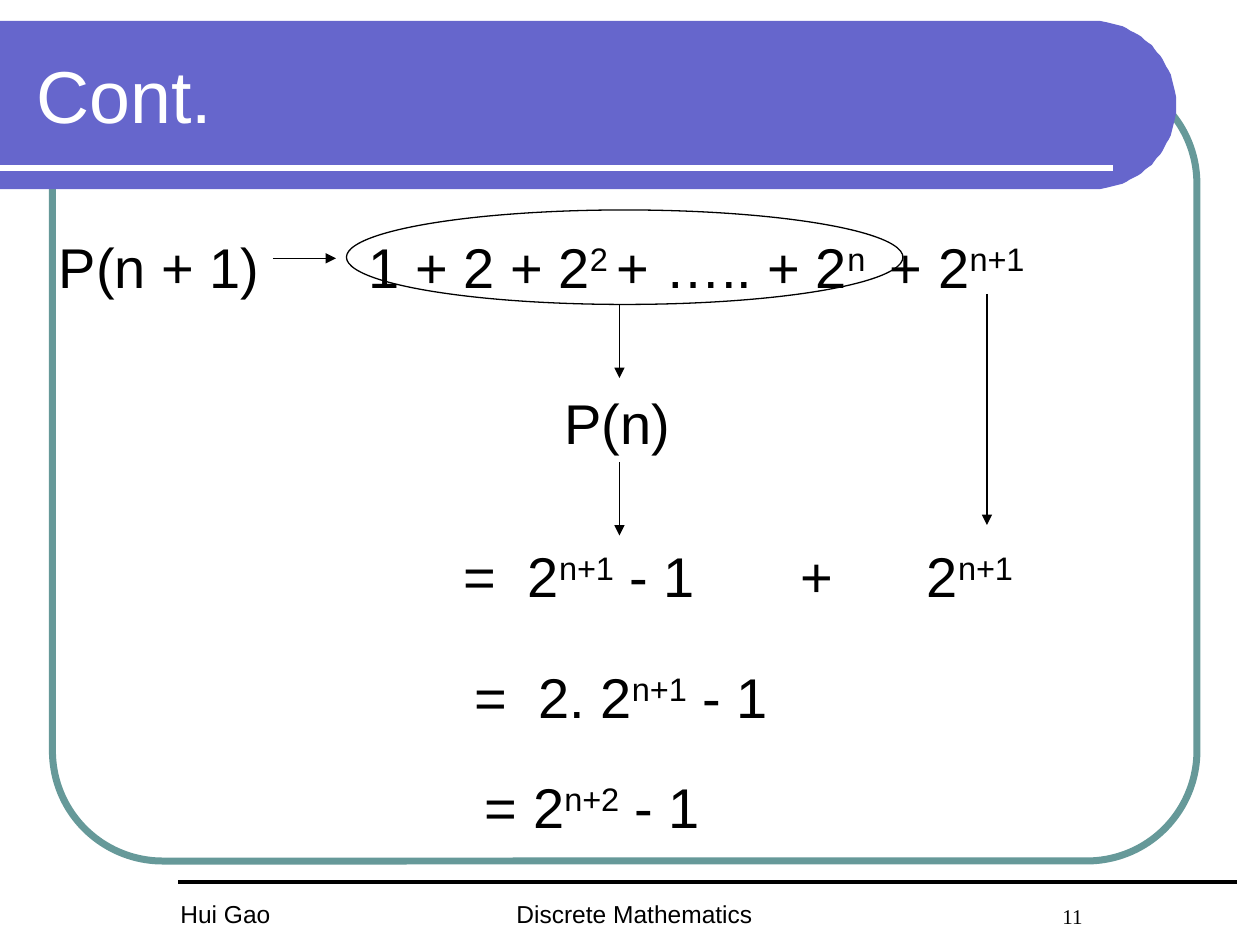
import math
import pptx
import pptx.dml.color
import pptx.enum.shapes
import pptx.enum.text
import pptx.oxml
import pptx.oxml.ns
import pptx.util

SCALE = 7620
INK = "000000"
WHITE = "FFFFFF"
KIND = pptx.enum.shapes.MSO_SHAPE


def px(*nums):
    return [pptx.util.Emu(num * SCALE) for num in nums]


def tint(part, code):
    part.rgb = pptx.dml.color.RGBColor.from_string(code)


def fill(shape, code):
    shape.fill.solid()
    tint(shape.fill.fore_color, code)


def stroke(shape, code, width):
    tint(shape.line.color, code)
    shape.line.width = pptx.util.Pt(width)


def outline(slide, kind, box, code, width):
    shape = slide.shapes.add_shape(kind, *px(*box))
    shape.shadow.inherit = False
    shape.fill.background()
    stroke(shape, code, width)
    return shape


def banner(slide, mid, top, rad, code):
    turns = [math.radians(deg) for deg in range(-90, 91, 3)]
    arc = [(mid + rad * math.cos(turn), top + rad + rad * math.sin(turn))
           for turn in turns]
    pen = slide.shapes.build_freeform(0, top, SCALE)
    pen.add_line_segments(arc + [(0, top + 2 * rad)], close=True)
    shape = pen.convert_to_shape()
    shape.shadow.inherit = False
    fill(shape, code)
    shape.line.fill.background()


def rule(slide, ends, code, width):
    line = slide.shapes.add_connector(
        pptx.enum.shapes.MSO_CONNECTOR.STRAIGHT, *px(*ends))
    stroke(line, code, width)
    pptx.oxml.ns.qn("a:effectLst")
    line._element.spPr.append(pptx.oxml.parse_xml(
        "<a:effectLst %s/>" % pptx.oxml.ns.nsdecls("a")))
    return line


def arrow(slide, ends):
    line = rule(slide, ends, INK, 0.75)
    line.line._get_or_add_ln().append(pptx.oxml.parse_xml(
        '<a:tailEnd %s type="triangle"/>' % pptx.oxml.ns.nsdecls("a")))


def style(run, size, code=INK, face="Arial"):
    run.font.name = face
    run.font.size = pptx.util.Pt(size)
    tint(run.font.color, code)


def label(slide, box, parts, size=32, face="Arial", tab=None, pad=(12, 6)):
    frame = slide.shapes.add_textbox(*px(*box)).text_frame
    frame.word_wrap = True
    frame.margin_left, frame.margin_top = px(*pad)
    para = frame.paragraphs[0]
    if tab:
        para._p.get_or_add_pPr().append(pptx.oxml.parse_xml(
            '<a:tabLst %s><a:tab pos="%d" algn="l"/></a:tabLst>'
            % (pptx.oxml.ns.nsdecls("a"), tab * SCALE)))
    for spot, text in enumerate(parts):
        run = para.add_run()
        run.text = text
        style(run, size, face=face)
        if spot % 2:
            run._r.get_or_add_rPr().set("baseline", "30000")


def head(slide, box, text):
    title = slide.shapes.title
    slide.shapes._spTree.append(title._element)
    title.left, title.top, title.width, title.height = px(*box)
    frame = title.text_frame
    frame.text = text
    frame.margin_left = px(10)[0]
    frame.vertical_anchor = pptx.enum.text.MSO_ANCHOR.MIDDLE
    para = frame.paragraphs[0]
    para.alignment = pptx.enum.text.PP_ALIGN.LEFT
    style(para.runs[0], 42, WHITE)


def main():
    deck = pptx.Presentation()
    deck.slide_width, deck.slide_height = px(1200, 900)
    slide = deck.slides.add_slide(deck.slide_layouts[5])

    frame = outline(slide, KIND.ROUNDED_RECTANGLE,
                    (50, 70, 1090, 750), "669999", 4)
    frame.adjustments[0] = 0.14
    banner(slide, 1040, 20, 80, "6666CC")
    rule(slide, (0, 160, 1060, 160), WHITE, 3)
    rule(slide, (170, 840, 1178, 840), INK, 2.25)
    label(slide, (160, 850, 230, 40), ["Hui Gao"], 14)
    label(slide, (480, 850, 400, 40), ["Discrete Mathematics"], 14)
    label(slide, (1000, 855, 60, 36), ["11"], 12, "Times New Roman")
    head(slide, (25, 30, 1052, 120), "Cont.")

    label(slide, (50, 210, 1040, 580),
          ["P(n + 1)\t1 + 2 + 2", "2 ", "+ ….. + 2", "n ", " + 2", "n+1"],
          tab=295, pad=(6, 11))
    outline(slide, KIND.OVAL, (330, 200, 530, 90), INK, 0.75)
    label(slide, (526, 364, 134, 77), ["P(n)"])
    label(slide, (430, 510, 259, 77), ["=\t2", "n+1", " - 1"], tab=61)
    label(slide, (751, 510, 240, 77), ["+\t2", "n+1"], tab=120)
    label(slide, (440, 625, 460, 77), ["=\t2. 2", "n+1", " - 1"], tab=61)
    label(slide, (450, 730, 442, 77), ["= 2", "n+2", " - 1"])
    for ends in ((260, 246, 320, 246), (590, 290, 590, 360),
                 (590, 440, 590, 510), (940, 280, 940, 500)):
        arrow(slide, ends)
    deck.save("out.pptx")


if __name__ == "__main__":
    main()
